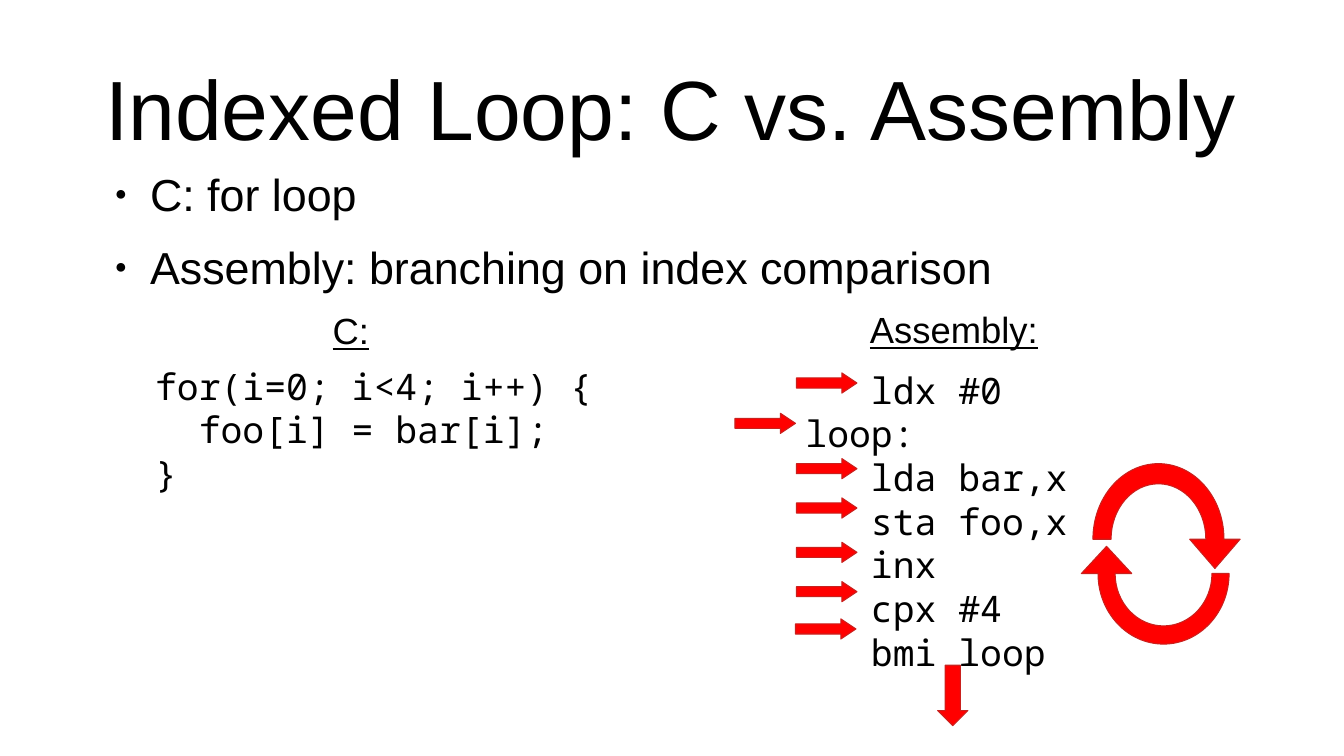
from dataclasses import dataclass

from lxml import etree
from pptx import Presentation
from pptx.dml.color import RGBColor
from pptx.enum import shapes, text
from pptx.oxml.ns import qn
from pptx.util import Inches, Pt


@dataclass(frozen=True)
class Theme:
    ink: RGBColor = RGBColor(0, 0, 0)
    red: RGBColor = RGBColor(0xFF, 0, 0)
    edge: RGBColor = RGBColor(0xC9, 0x21, 0x1E)
    sans: str = "Arial"
    mono: str = "Noto Sans Mono"
    title: int = 60
    body: int = 32
    label: int = 26


THEME = Theme()

C_CODE = """for(i=0; i<4; i++) {
  foo[i] = bar[i];
}"""

ASSEMBLY_CODE = """   ldx #0
loop:
   lda bar,x
   sta foo,x
   inx
   cpx #4
   bmi loop"""


def add_bullet(p):
    """Give a paragraph a small round bullet with a hanging indent."""
    pPr = p._p.get_or_add_pPr()
    pPr.set("marL", str(Inches(0.47)))
    pPr.set("indent", str(Inches(-0.35)))
    color = etree.SubElement(pPr, qn("a:buClr"))
    etree.SubElement(color, qn("a:srgbClr"), val=str(THEME.ink))
    etree.SubElement(pPr, qn("a:buSzPct"), val="45000")
    etree.SubElement(pPr, qn("a:buFont"), typeface=THEME.sans)
    etree.SubElement(pPr, qn("a:buChar"), char="●")


def add_text(s, content, box, *, size=THEME.label, font=THEME.sans, underline=None,
             align=text.PP_ALIGN.LEFT, anchor=text.MSO_ANCHOR.TOP,
             spacing=None, gap=0, bullets=False):
    """Add a text box with one paragraph per line of content."""
    tf = s.shapes.add_textbox(*map(Inches, box)).text_frame
    tf.word_wrap = True
    tf.vertical_anchor = anchor
    tf.margin_right = 0
    for i, line in enumerate(content.split("\n")):
        p = tf.add_paragraph() if i else tf.paragraphs[0]
        p.alignment = align
        if spacing:
            p.line_spacing = spacing
        if i and gap:
            p.space_before = Pt(gap)
        if bullets:
            add_bullet(p)
        r = p.add_run()
        r.text = line
        r.font.name, r.font.size = font, Pt(size)
        r.font.underline = underline
        r.font.color.rgb = THEME.ink


def paint(sp):
    """Apply the red arrow style."""
    sp.shadow.inherit = False
    sp.fill.solid()
    sp.fill.fore_color.rgb = THEME.red
    sp.line.color.rgb = THEME.edge
    sp.line.width = 0


def add_arrow(s, kind, box, head):
    """Add a straight block arrow with the given head length."""
    sp = s.shapes.add_shape(kind, *map(Inches, box))
    sp.adjustments[0], sp.adjustments[1] = 0.5, head
    paint(sp)


def round_quarter(line, start, end, from_side):
    """Replace a straight segment by a quarter of an ellipse."""
    corner = (start[0], end[1]) if from_side else (end[0], start[1])
    curve = etree.Element(qn("a:cubicBezTo"))
    for base, pull in ((start, 0.5523), (end, 0.5523), (end, 0)):
        x, y = (round(b + pull * (c - b)) for b, c in zip(base, corner))
        etree.SubElement(curve, qn("a:pt"), x=str(x), y=str(y))
    line.getparent().replace(line, curve)


def add_loop_arrow(s, center, outer, inner, head, turn):
    """Add a half-ring arrow, upper for turn 1 and lower for turn -1."""
    cx, cy = center
    (ox, oy), (ix, iy), (half, length) = outer, inner, head
    middle = (ox + ix) / 2
    outline = [(ix, 0), (0, -iy), (-ix, 0), (-ox, 0), (0, -oy), (ox, 0),
               (middle + half, 0), (middle, length), (middle - half, 0)]
    points = [(Inches(cx + turn * x), Inches(cy + turn * y)) for x, y in outline]
    builder = s.shapes.build_freeform(*points[0])
    builder.add_line_segments(points[1:], close=True)
    sp = builder.convert_to_shape()
    lines = list(sp._element.iter(qn("a:lnTo")))
    local = [(x - sp.left, y - sp.top) for x, y in points]
    for i, from_side in ((0, True), (1, False), (3, True), (4, False)):
        round_quarter(lines[i], local[i], local[i + 1], from_side)
    paint(sp)


def main():
    """Build the slide and save it."""
    prs = Presentation()
    prs.slide_width, prs.slide_height = Inches(13.33), Inches(7.5)
    s = prs.slides.add_slide(prs.slide_layouts[6])

    add_text(s, "C: for loop\nAssembly: branching on index comparison",
             (0.92, 1.6, 11.5, 1.5), size=THEME.body, gap=14.2, bullets=True)
    add_text(s, "Indexed Loop: C vs. Assembly", (0.15, 0.4, 12.9, 1.45),
             size=THEME.title, align=text.PP_ALIGN.CENTER,
             anchor=text.MSO_ANCHOR.MIDDLE, spacing=0.9)

    add_text(s, C_CODE, (1.44, 3.56, 4.56, 2.54), font=THEME.mono)
    add_text(s, "C:", (3.2, 3.01, 1.87, 0.5), underline=True)
    add_text(s, "Assembly:", (8.53, 3, 1.87, 0.5), underline=True)
    add_text(s, ASSEMBLY_CODE, (7.89, 3.6, 3.71, 3.76), font=THEME.mono)

    line_arrows = [(7.9, 3.7), (7.29, 4.1), (7.9, 4.55), (7.9, 4.94),
                   (7.9, 5.38), (7.9, 5.77), (7.89, 6.14)]
    for left, top in line_arrows:
        add_arrow(s, shapes.MSO_SHAPE.RIGHT_ARROW, (left, top, 0.6, 0.2), 0.75)

    add_loop_arrow(s, (11.49, 5.35), (0.65, 0.75), (0.47, 0.55), (0.25, 0.29), 1)
    add_loop_arrow(s, (11.54, 5.69), (0.65, 0.7), (0.48, 0.52), (0.25, 0.27), -1)
    add_arrow(s, shapes.MSO_SHAPE.DOWN_ARROW, (9.3, 6.6, 0.3, 0.6), 0.5)

    prs.save("out.pptx")


if __name__ == "__main__":
    main()
